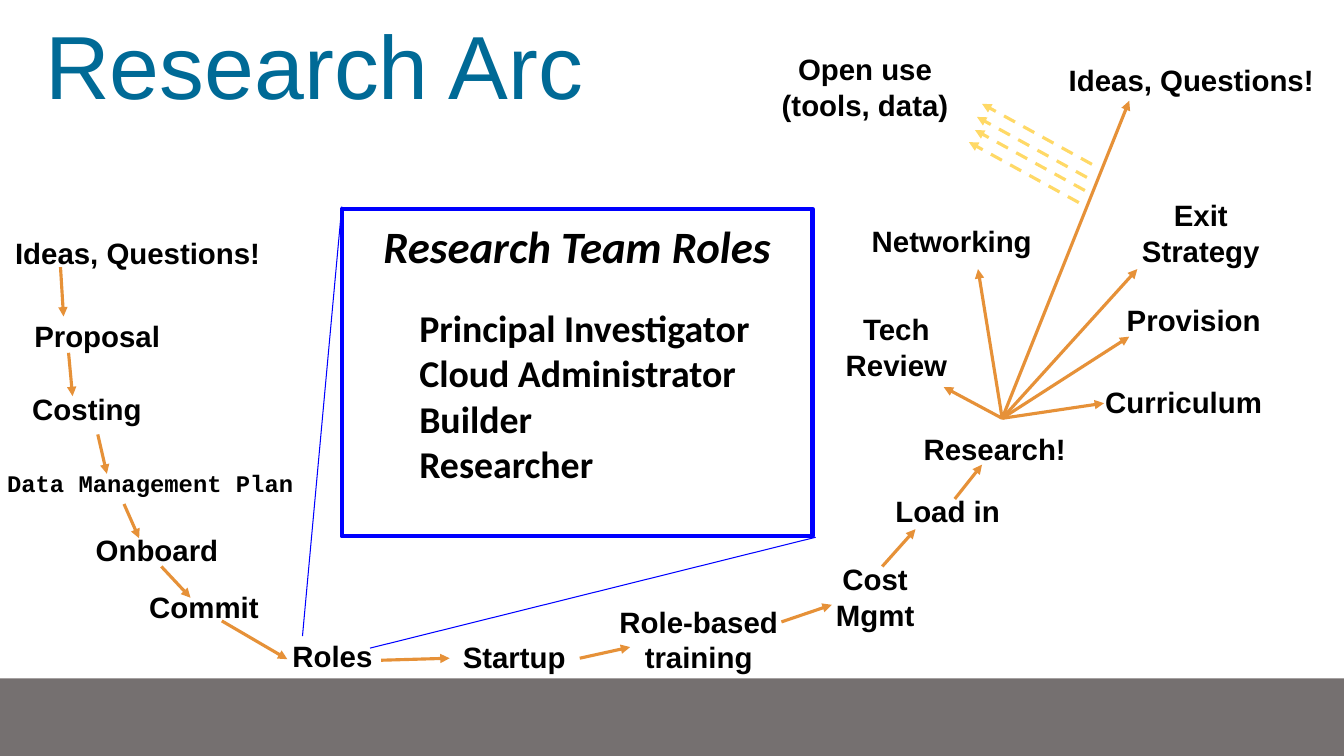
from dataclasses import dataclass

from lxml.etree import SubElement
from pptx import Presentation
from pptx.dml.color import RGBColor
from pptx.enum.dml import MSO_LINE_DASH_STYLE as Dash
from pptx.enum.shapes import MSO_CONNECTOR as Connector, MSO_SHAPE as Shape
from pptx.enum.text import MSO_ANCHOR as Anchor, PP_ALIGN as Align
from pptx.oxml.ns import qn
from pptx.util import Emu, Pt

PX = 9144  # 100 px to the inch
COLORS = {
    "text": "000000",
    "title": "006A96",
    "footer": "757070",
    "arrow": "E69138",
    "open_use": "FFD966",
    "panel": "0000FF",
}


@dataclass
class Box:
    left: int
    top: int
    width: int
    height: int

    def inner(self, x, y, width, height):
        return Box(self.left + x, self.top + y, width, height)

    def emu(self):
        return [Emu(v * PX) for v in (self.left, self.top, self.width, self.height)]


def color(name):
    return RGBColor.from_string(COLORS[name])


def set_font(para, size, name="Arial", tint="text", bold=True, italic=False):
    for span in para.runs:
        font = span.font
        font.name, font.size = name, Pt(size)
        font.bold, font.italic = bold, italic
        font.color.rgb = color(tint)


def set_insets(frame, x, y):
    frame.margin_left = frame.margin_right = Emu(x * PX)
    frame.margin_top = frame.margin_bottom = Emu(y * PX)


def add_label(page, box, text, align=Align.LEFT, size=21, font="Arial"):
    frame = page.shapes.add_textbox(*box.emu()).text_frame
    frame.word_wrap = True
    set_insets(frame, 13, 13)
    frame.text = text
    for para in frame.paragraphs:
        para.alignment = align
        set_font(para, size, font)


def add_line(page, box, ends, tint="arrow", width=2.25, arrow=True, dash=None):
    """Draw a line whose ends (x1, y1, x2, y2) are relative to the box."""
    x1, y1, x2, y2 = ends
    points = (box.left + x1, box.top + y1, box.left + x2, box.top + y2)
    line = page.shapes.add_connector(Connector.STRAIGHT, *[Emu(v * PX) for v in points])
    line.line.color.rgb = color(tint)
    line.line.width = Pt(width)
    if dash:
        line.line.dash_style = dash
    if arrow:
        SubElement(line.line._get_or_add_ln(), qn("a:tailEnd"), type="triangle")
    SubElement(line._element.spPr, qn("a:effectLst"))


def add_rect(page, box):
    rect = page.shapes.add_shape(Shape.RECTANGLE, *box.emu())
    rect.shadow.inherit = False
    return rect


def add_footer(page, box):
    band = add_rect(page, box)
    band.fill.solid()
    band.fill.fore_color.rgb = color("footer")
    band.line.fill.background()


def add_title(page, box):
    frame = page.shapes.add_textbox(*box.emu()).text_frame
    frame.word_wrap = True
    frame.vertical_anchor = Anchor.MIDDLE
    set_insets(frame, 10, 5)
    frame.text = "Research Arc"
    set_font(frame.paragraphs[0], 64, tint="title", bold=False)


def add_planning_arm(page, box):
    steps = [
        ("Ideas, Questions!", 2, 0, 274),
        ("Proposal", 21, 83, 215),
        ("Costing", 19, 155, 200),
        ("Onboard", 82, 295, 227),
        ("Commit", 135, 351, 230),
        ("Roles", 277, 400, 126),
    ]
    for text, x, y, width in steps:
        add_label(page, box.inner(x, y, width, 64), text)
    add_label(page, box.inner(-6, 232, 536, 64), "Data Management Plan",
              size=17, font="Courier New")
    for ends in [(60, 45, 63, 94), (68, 130, 72, 173), (97, 211, 106, 250),
                 (123, 280, 138, 314), (160, 342, 189, 373),
                 (220, 396, 285, 434), (378, 435, 446, 433)]:
        add_line(page, box, ends)


def add_startup_arm(page, box):
    steps = [
        ("Startup", 0, 206, 182, Align.LEFT),
        ("Role-based\ntraining", 132, 171, 230, Align.CENTER),
        ("Cost\nMgmt", 307, 129, 230, Align.CENTER),
        ("Load in", 429, 61, 155, Align.LEFT),
        ("Research!", 457, 0, 182, Align.LEFT),
    ]
    for text, x, y, width, align in steps:
        add_label(page, box.inner(x, y, width, 64), text, align)
    for ends in [(129, 238, 179, 227), (329, 202, 379, 185),
                 (429, 147, 462, 110), (501, 80, 528, 46)]:
        add_line(page, box, ends)


def add_outcome_fan(page, box):
    outcomes = [
        ("Open use\n(tools, data)", 0, 0),
        ("Tech\nReview", 31, 258),
        ("Networking", 86, 170),
        ("Provision", 326, 249),
        ("Exit\nStrategy", 333, 145),
        ("Curriculum", 316, 330),
    ]
    for text, x, y in outcomes:
        add_label(page, box.inner(x, y, 230, 64), text, Align.CENTER)
    add_label(page, box.inner(304, 11, 274, 64), "Ideas, Questions!")

    # Arrows spreading from the research hub
    hub = (251, 377)
    for tip in [(352, 362), (193, 346), (227, 229), (377, 296), (385, 229), (377, 62)]:
        add_line(page, box, hub + tip)

    # Parallel dashed arrows toward open use
    for x, y in [(327, 163), (333, 151), (335, 138), (340, 125)]:
        add_line(page, box, (x, y, x - 109, y - 60), "open_use", dash=Dash.DASH)


def add_roles_panel(page, box):
    panel = add_rect(page, box)
    panel.fill.background()
    panel.line.color.rgb = color("panel")
    panel.line.width = Pt(3)
    frame = panel.text_frame
    frame.word_wrap = True
    frame.vertical_anchor = Anchor.TOP
    set_insets(frame, 10, 10)
    frame.text = ("Research Team Roles\nPrincipal Investigator\n"
                  "Cloud Administrator\nBuilder\nResearcher")
    heading, *roles = frame.paragraphs
    heading.alignment = Align.CENTER
    set_font(heading, 32, "Calibri", italic=True)
    for role in roles:
        role.alignment = Align.LEFT
        role._p.get_or_add_pPr().set("marL", str(67 * PX))
        set_font(role, 27, "Calibri")
    roles[0].space_before = Pt(23)

    # Callout lines down to the "Roles" step
    for ends in [(0, -2, -39, 424), (470, 326, 28, 436)]:
        add_line(page, box, ends, "panel", 0.75, arrow=False)


def main():
    deck = Presentation()
    deck.slide_width, deck.slide_height = Emu(1333 * PX), Emu(750 * PX)
    page = deck.slides.add_slide(deck.slide_layouts[6])
    add_footer(page, Box(0, 673, 1333, 77))
    add_title(page, Box(35, 12, 1244, 102))
    add_planning_arm(page, Box(0, 220, 446, 464))
    add_startup_arm(page, Box(446, 415, 639, 270))
    add_outcome_fan(page, Box(743, 38, 578, 394))
    add_roles_panel(page, Box(339, 207, 467, 325))
    deck.save("out.pptx")


if __name__ == "__main__":
    main()
